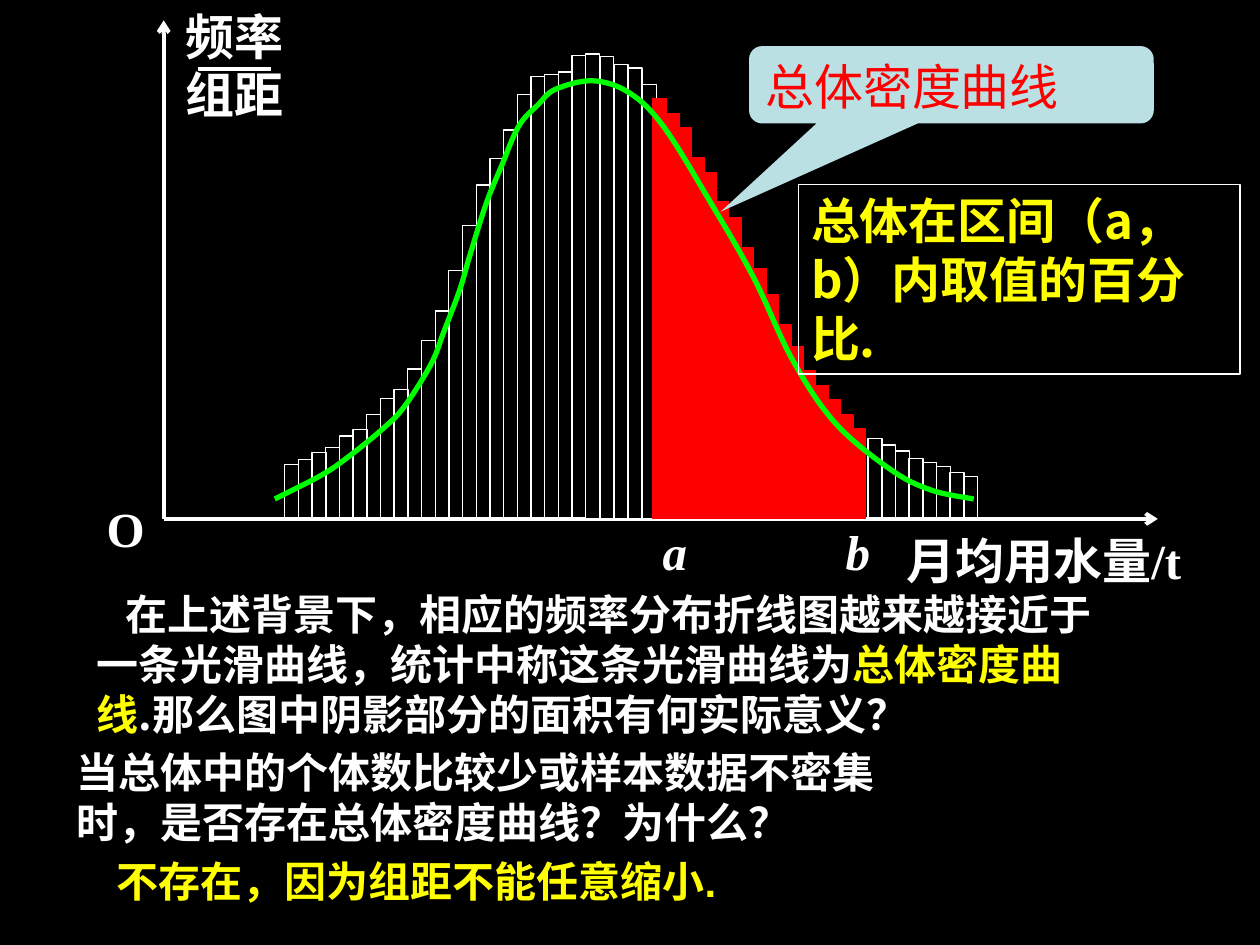
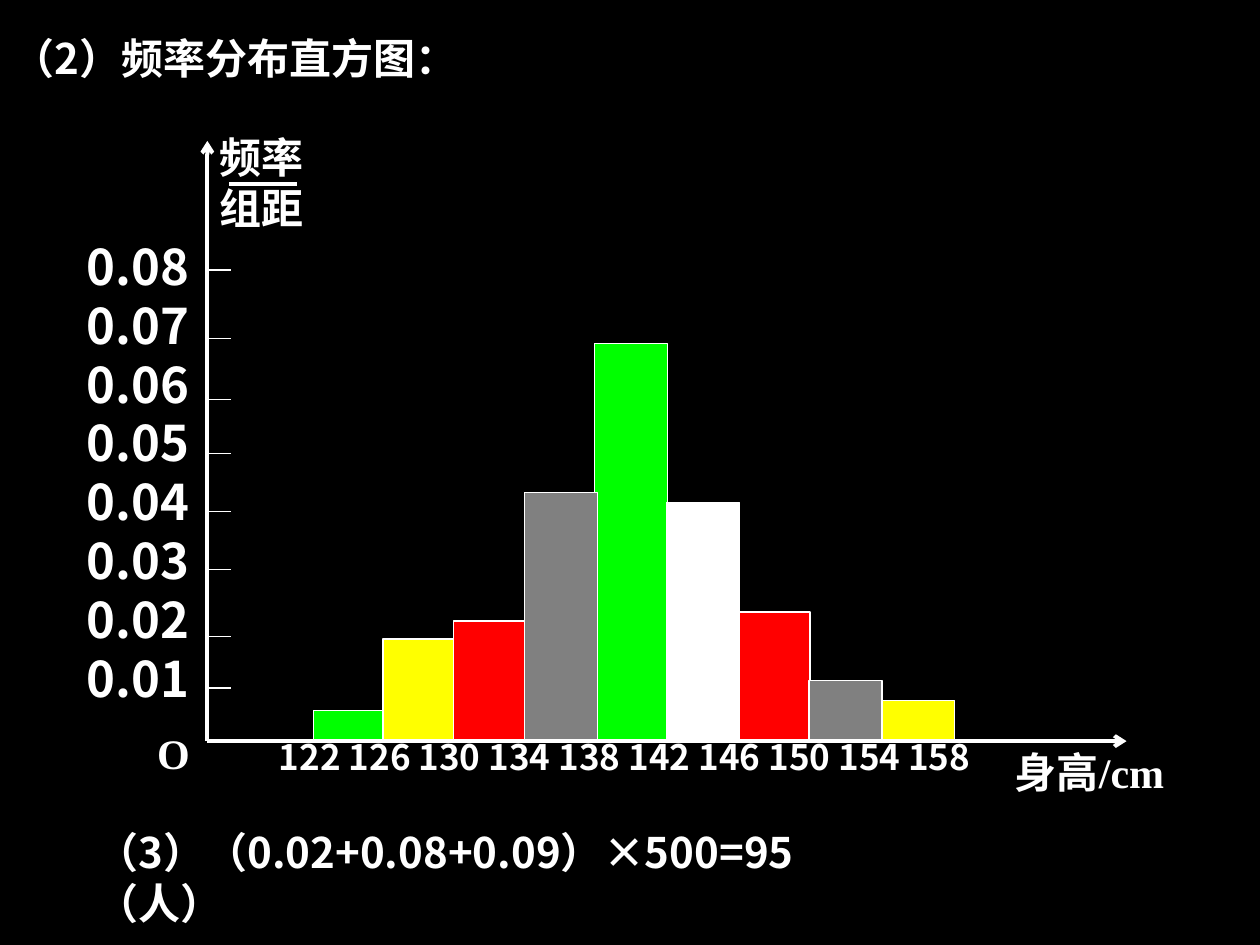
import pptx
import pptx.dml.color
import pptx.enum.shapes
import pptx.enum.text
import pptx.util
from lxml import etree
from pptx.oxml.ns import qn

Cm, Pt = pptx.util.Cm, pptx.util.Pt
SHAPES = pptx.enum.shapes.MSO_SHAPE
ALIGN = pptx.enum.text.PP_ALIGN
BLACK, WHITE, RED, GREEN = "000000", "FFFFFF", "FF0000", "00FF00"
YELLOW, GREY, PALE_BLUE = "FFFF00", "808080", "BBE0E3"
SERIF, SANS, ARIAL = "Times New Roman", "Noto Sans CJK SC", "Arial"

# Density slide: bars as (first left, last left, line, fill, tops), in cm
DENSITY_BASE, DENSITY_BAR_WIDTH = 10.45, 0.28
DENSITY_BARS = [
    (11.81, 12.95, WHITE, BLACK, [1.09, 1.14, 1.3, 1.37, 1.7]),
    (13.16, 17.17, RED, RED, [
        1.98, 2.29, 2.57, 3.18, 3.48, 4.06, 4.39, 5, 5.41, 5.94, 6.55, 6.99, 7.47, 7.77,
        8.05, 8.36, 8.64]),
    (17.5, 19.43, WHITE, None, [8.84, 8.97, 9.09, 9.25, 9.32, 9.4, 9.53, 9.6]),
    (5.74, 11.53, WHITE, None, [
        9.37, 9.27, 9.12, 9.02, 8.79, 8.66, 8.36, 8.03, 7.85, 7.44, 6.86, 6.27, 5.46, 4.55,
        3.73, 3.2, 2.62, 1.91, 1.55, 1.5, 1.45, 1.12]),
]
CURVE_KNOTS = [
    (5.54, 10.06), (6.48, 9.58), (7.01, 9.22), (7.7, 8.66), (8.15, 8.2), (8.69, 7.34),
    (8.94, 6.71), (9.27, 5.84), (9.47, 5.16), (9.8, 4.11), (10.11, 3.35), (10.46, 2.54),
    (10.85, 2.11), (11.2, 1.8), (11.96, 1.63), (12.7, 1.88), (13.39, 2.57), (14.33, 4.09),
    (15.19, 5.59), (15.98, 7.26), (16.84, 8.53), (17.96, 9.47), (18.77, 9.88), (19.63, 10.06),
]
DENSITY_QUESTION = [
    ("在上述背景下，相应的频率分布折线图越来越接近于一条光滑曲线，统计中称这条光滑曲线为", WHITE),
    ("总体密度曲线", YELLOW),
    (".那么图中阴影部分的面积有何实际意义？", WHITE),
]

# Height slide: bars as (left, top, fill) from back to front, in cm
HEIGHT_BASE, HEIGHT_BAR_WIDTH = 14.91, 1.47
HEIGHT_BARS = [
    (6.32, 14.33, GREEN), (7.72, 12.88, YELLOW), (11.99, 6.93, GREEN),
    (14.86, 12.34, RED), (9.14, 12.52, RED), (10.57, 9.93, GREY),
    (16.31, 13.72, GREY), (13.44, 10.13, WHITE), (17.78, 14.12, YELLOW),
]
TICK_TOPS = [5.44, 6.83, 8.05, 9.14, 10.31, 11.48, 12.83, 13.87]
TICK_LABELS = [f"{value / 100:.2f}" for value in range(8, 0, -1)]
HEIGHT_LABELS = " ".join(str(height) for height in range(122, 159, 4))


def colour(code):
    return pptx.dml.color.RGBColor.from_string(code)


def new_page(deck):
    page = deck.slides.add_slide(deck.slide_layouts[6])
    page.background.fill.solid()
    page.background.fill.fore_color.rgb = colour(BLACK)
    return page


def write(box, text, size=24, font=SANS, color=WHITE, bold=True, italic=False,
          align=ALIGN.LEFT, indent=0, tab=0, grow=False):
    """Fill a box; text is a string, or a list of paragraphs of (text, colour) spans."""
    frame = box.text_frame
    frame.word_wrap = True
    frame.vertical_anchor = pptx.enum.text.MSO_ANCHOR.TOP
    if grow:
        frame.auto_size = pptx.enum.text.MSO_AUTO_SIZE.SHAPE_TO_FIT_TEXT
    paragraphs = [[(text, color)]] if isinstance(text, str) else text
    for index, spans in enumerate(paragraphs):
        para = frame.add_paragraph() if index else frame.paragraphs[0]
        para.alignment = align
        properties = para._p.get_or_add_pPr()
        properties.set("hangingPunct", "0")
        if indent:
            properties.set("indent", str(Cm(indent)))
        if tab:
            stops = etree.SubElement(properties, qn("a:tabLst"))
            etree.SubElement(stops, qn("a:tab"), pos=str(Cm(tab)), algn="l")
        for words, shade in spans:
            span = para.add_run()
            span.text = words
            span.font.size, span.font.name = Pt(size), font
            span.font.bold, span.font.italic = bold, italic
            span.font.color.rgb = colour(shade)
            etree.SubElement(span.font._element, qn("a:ea"), typeface=SANS)


def add_text(page, left, top, width, height, text, **style):
    box = page.shapes.add_textbox(Cm(left), Cm(top), Cm(width), Cm(height))
    write(box, text, **style)
    return box


def add_shape(page, kind, left, top, width, height, fill=None, line=None):
    shape = page.shapes.add_shape(kind, Cm(left), Cm(top), Cm(width), Cm(height))
    shape.shadow.inherit = False
    if fill:
        shape.fill.solid()
        shape.fill.fore_color.rgb = colour(fill)
    else:
        shape.fill.background()
    if line:
        shape.line.color.rgb = colour(line)
        shape.line.width = Pt(0.75)
    else:
        shape.line.fill.background()
    return shape


def add_line(page, start, end, width=2.25, arrow=False):
    line = page.shapes.add_connector(
        pptx.enum.shapes.MSO_CONNECTOR.STRAIGHT, *(Cm(value) for value in start + end))
    line.line.color.rgb = colour(WHITE)
    line.line.width = Pt(width)
    if arrow:
        etree.SubElement(line.line._get_or_add_ln(), qn("a:tailEnd"), type="arrow")
    etree.SubElement(line._element.spPr, qn("a:effectLst"))


def add_axes(page, origin, right, top, size, fraction, origin_label, unit):
    """Draw both arrows, the fraction naming the upright axis, O and the unit."""
    x, y = origin
    add_line(page, origin, (right, y), arrow=True)
    add_line(page, origin, (x, top), arrow=True)
    bar_left, bar_right, bar_top = fraction["bar"]
    add_line(page, (bar_left, bar_top), (bar_right, bar_top))
    label = dict(size=size, font=SERIF, align=ALIGN.JUSTIFY)
    add_text(page, *fraction["box"], [[("频率", WHITE)], [("组距", WHITE)]], **label)
    add_text(page, *origin_label, "O", **label)
    add_text(page, *unit[0], unit[1], **label)


def add_curve(page, knots):
    """Draw a smooth line: each straight piece becomes a Bézier piece."""
    points = [(Cm(x), Cm(y)) for x, y in knots]
    builder = page.shapes.build_freeform(*points[0])
    builder.add_line_segments(points[1:], close=False)
    curve = builder.convert_to_shape()
    curve.shadow.inherit = False
    curve.fill.background()
    curve.line.color.rgb = colour(GREEN)
    curve.line.width = Pt(3)
    local = [(x - curve.left, y - curve.top) for x, y in points]
    padded = [local[0], *local, local[-1]]
    pieces = list(curve._element.iter(qn("a:lnTo")))
    for piece, before, start, end, after in zip(
            pieces, padded, padded[1:], padded[2:], padded[3:]):
        leave = [s + (e - b) / 6 for b, s, e in zip(before, start, end)]
        arrive = [e - (a - s) / 6 for s, e, a in zip(start, end, after)]
        bend = etree.Element(qn("a:cubicBezTo"))
        for x, y in (leave, arrive, end):
            etree.SubElement(bend, qn("a:pt"), x=str(round(x)), y=str(round(y)))
        piece.getparent().replace(piece, bend)


def build_density_page(deck):
    page = new_page(deck)
    add_axes(page, (3.3, 10.46), 23.34, 0.41, 28,
             dict(box=(3.5, 0, 2.97, 3), bar=(3.99, 5.46, 1.4)),
             (1.9, 9.93, 1.47, 2.49), ((18.03, 10.57, 6.68, 1.68), "月均用水量/t"))
    add_text(page, 13.11, 10.39, 5, 1.73, "a\tb", size=28, font=SERIF, italic=True, tab=3.69)

    # Histogram and density curve
    for first, last, line, fill, tops in DENSITY_BARS:
        step = (last - first) / (len(tops) - 1)
        for index, top in enumerate(tops):
            add_shape(page, SHAPES.RECTANGLE, first + index * step, top,
                      DENSITY_BAR_WIDTH, DENSITY_BASE - top, fill, line)
    add_curve(page, CURVE_KNOTS)

    # Callout, answers and questions
    callout = add_shape(page, SHAPES.ROUNDED_RECTANGULAR_CALLOUT,
                        15.1, 0.93, 8.16, 1.56, PALE_BLUE)
    for index, value in enumerate((-0.57, 1.64, 0.17)):
        callout.adjustments[index] = value
    write(callout, "总体密度曲线", size=28, font=ARIAL, color=RED, bold=False, grow=True)
    add_text(page, 1.7, 11.73, 20.8, 3.3, [DENSITY_QUESTION], indent=0.58, grow=True)
    meaning = add_shape(page, SHAPES.RECTANGLE, 16.1, 3.72, 8.9, 3.82, line=WHITE)
    write(meaning, "总体在区间（a，b）内取值的百分比.", size=28, color=YELLOW, grow=True)
    add_text(page, 1.3, 14.92, 17.91, 2.29,
             "当总体中的个体数比较少或样本数据不密集时，是否存在总体密度曲线？为什么？", grow=True)
    add_text(page, 2.1, 17.12, 13, 1.27, "不存在，因为组距不能任意缩小.",
             font=ARIAL, color=YELLOW, grow=True)


def build_height_page(deck):
    page = new_page(deck)
    add_text(page, 0, 0.53, 9.91, 1.27, "（2）频率分布直方图：", grow=True)
    add_axes(page, (4.18, 14.94), 22.71, 2.84, 24,
             dict(box=(4.18, 2.53, 2.74, 3.02), bar=(4.62, 5.99, 3.71)),
             (2.92, 14.54, 1.37, 1.8), ((20.21, 14.92, 4.8, 1.83), "身高/cm"))

    # Scales
    add_text(page, 1.5, 4.64, 3.43, 10.67, [[(label, WHITE)] for label in TICK_LABELS],
             size=28, align=ALIGN.JUSTIFY)
    add_text(page, 5.37, 14.71, 15.52, 1.83, HEIGHT_LABELS, size=20)
    for top in TICK_TOPS:
        add_line(page, (4.18, top), (4.65, top), width=0.75)

    # Bars and the answer
    for left, top, fill in HEIGHT_BARS:
        add_shape(page, SHAPES.RECTANGLE, left, top,
                  HEIGHT_BAR_WIDTH, HEIGHT_BASE - top, fill, WHITE)
    add_text(page, 1.7, 16.54, 16.89, 2.29, "（3）（0.02+0.08+0.09）×500=95（人）", grow=True)


def main():
    deck = pptx.Presentation()
    deck.slide_width, deck.slide_height = Cm(25.4), Cm(19.05)
    build_density_page(deck)
    build_height_page(deck)
    deck.save("out.pptx")


if __name__ == "__main__":
    main()
